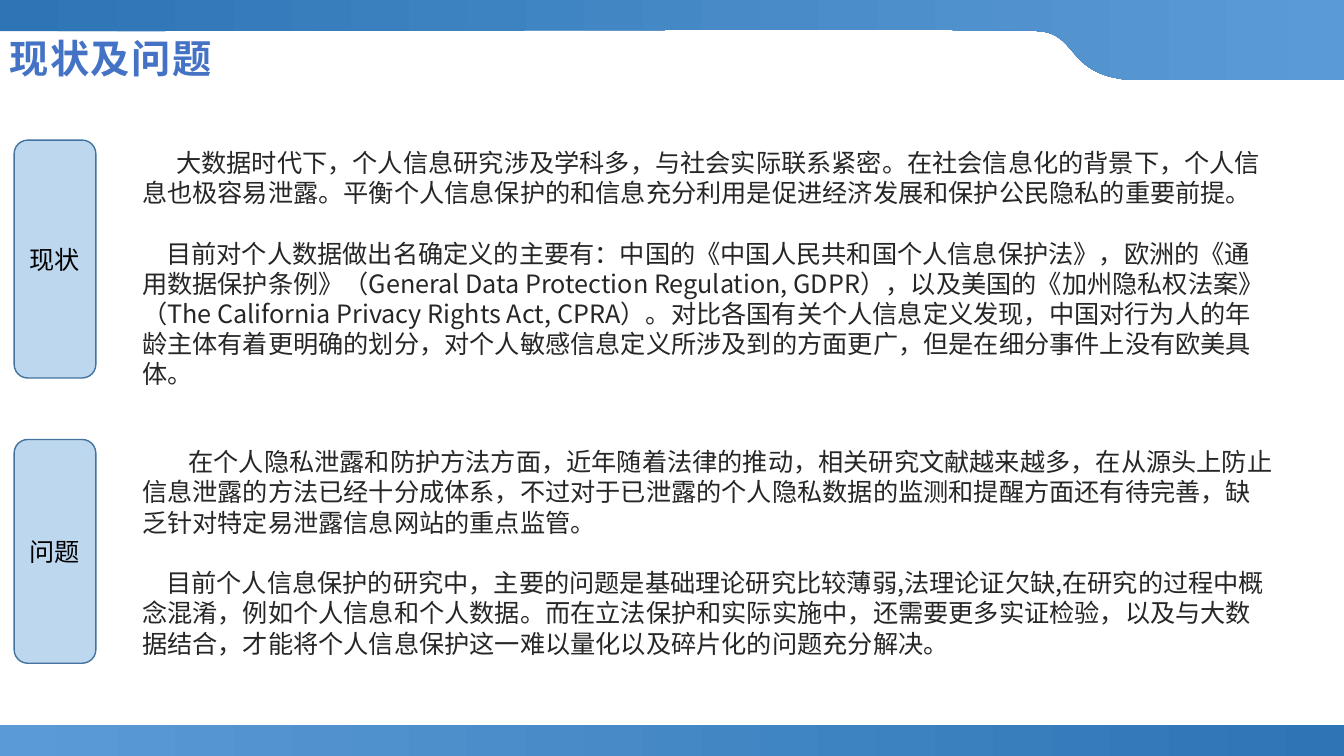
from lxml.etree import SubElement
from pptx import Presentation
from pptx.dml.color import RGBColor
from pptx.enum.shapes import MSO_SHAPE
from pptx.enum.text import MSO_ANCHOR, PP_ALIGN
from pptx.oxml.ns import qn
from pptx.util import Inches, Pt

WHITE = RGBColor(0xFF, 0xFF, 0xFF)
BLACK = RGBColor(0, 0, 0)
INK = RGBColor(0x26, 0x26, 0x26)
TITLE_BLUE = RGBColor(0x44, 0x72, 0xC4)
BAND_LIGHT = RGBColor(0x5B, 0x9B, 0xD5)
BAND_DARK = RGBColor(0x2E, 0x75, 0xB6)
LABEL_FILL = RGBColor(0xBD, 0xD7, 0xEE)
LABEL_EDGE = RGBColor(0x43, 0x73, 0x9E)
CJK_FONT = "Noto Sans CJK SC"

prs = Presentation()
prs.slide_width, prs.slide_height = Inches(13.33), Inches(7.5)
slide = prs.slides.add_slide(prs.slide_layouts[6])
slide.background.fill.solid()
slide.background.fill.fore_color.rgb = WHITE


def share(*percents):
    """Turn alternating x, y percentages of the slide into lengths."""
    sides = (prs.slide_width, prs.slide_height)
    return [int(sides[i % 2] * p / 100) for i, p in enumerate(percents)]


def style(paragraph, size, color, latin=CJK_FONT):
    for run in paragraph.runs:
        run.font.size = Pt(size)
        run.font.color.rgb = color
        run.font.name = latin
        SubElement(run._r.get_or_add_rPr(), qn("a:ea"), typeface=CJK_FONT)


# Bands: the top one swells at the right along two Bézier curves
curves = [
    [(83.27, 10.4), (79.52, 9.33), (80.05, 4.67), (77.42, 4.13)],
    [(77.42, 4.13), (74.79, 3.73), (25.81, 4.13), (0, 4.13)],
]
outline = [(100, 0), (100, 10.53), (83.72, 10.53)]
STEPS = 24
for a, b, c, d in curves:
    for step in range(STEPS + 1):
        t = step / STEPS
        u = 1 - t
        outline.append(tuple(
            u**3 * a[i] + 3 * u * u * t * b[i] + 3 * u * t * t * c[i] + t**3 * d[i]
            for i in (0, 1)))
builder = slide.shapes.build_freeform(0, 0)
builder.add_line_segments([share(*point) for point in outline], close=True)
top_band = builder.convert_to_shape()
bottom_band = slide.shapes.add_shape(MSO_SHAPE.RECTANGLE, *share(0, 95.87, 100, 4.13))

for band, ends in ((top_band, (BAND_DARK, BAND_LIGHT)),
                   (bottom_band, (BAND_LIGHT, BAND_DARK))):
    band.shadow.inherit = False
    band.line.fill.background()
    band.fill.gradient()
    band.fill.gradient_angle = 0
    for stop, color in zip(band.fill.gradient_stops, ends):
        stop.color.rgb = color

# Title
title = slide.shapes.add_textbox(*share(0, 3.2, 57.16, 7.6)).text_frame
title.word_wrap = True
title.vertical_anchor = MSO_ANCHOR.BOTTOM
title.margin_bottom = 0
title.text = "现状及问题"
heading = title.paragraphs[0]
heading.line_spacing = 0.9
style(heading, 28, TITLE_BLUE)
heading.runs[0].font.bold = True
heading.runs[0]._r.rPr.set("spc", "100")

# Sections: label, top, label height, text height, (first-line indent, paragraph)
sections = [
    ("现状", 18.53, 31.47, 41.73, [
        (0.34, "大数据时代下，个人信息研究涉及学科多，与社会实际联系紧密。在社会信息化的背景下，"
               "个人信息也极容易泄露。平衡个人信息保护的和信息充分利用是促进经济发展和保护公民"
               "隐私的重要前提。"),
        (0.24, "目前对个人数据做出名确定义的主要有：中国的《中国人民共和国个人信息保护法》，欧洲的"
               "《通用数据保护条例》（General Data Protection Regulation, GDPR），以及美国的"
               "《加州隐私权法案》（The California Privacy Rights Act, CPRA）。对比各国有关个人"
               "信息定义发现，中国对行为人的年龄主体有着更明确的划分，对个人敏感信息定义所涉及到的"
               "方面更广，但是在细分事件上没有欧美具体。"),
    ]),
    ("问题", 58.13, 29.6, 29.6, [
        (0.46, "在个人隐私泄露和防护方法方面，近年随着法律的推动，相关研究文献越来越多，在从源头上"
               "防止信息泄露的方法已经十分成体系，不过对于已泄露的个人隐私数据的监测和提醒方面还"
               "有待完善，缺乏针对特定易泄露信息网站的重点监管。"),
        (0.24, "目前个人信息保护的研究中，主要的问题是基础理论研究比较薄弱,法理论证欠缺,在研究的"
               "过程中概念混淆，例如个人信息和个人数据。而在立法保护和实际实施中，还需要更多实证"
               "检验，以及与大数据结合，才能将个人信息保护这一难以量化以及碎片化的问题充分解决。"),
    ]),
]
LINE_PITCH = Pt(21.6)

for name, top, label_height, text_height, paragraphs in sections:
    body = slide.shapes.add_textbox(*share(9.83, top, 85.6, text_height)).text_frame
    body.word_wrap = True
    body.margin_top = Inches(0.07)
    body.text = "\n".join(text for _, text in paragraphs)
    for paragraph, (indent, _) in zip(body.paragraphs, paragraphs):
        paragraph.line_spacing = LINE_PITCH
        paragraph._p.get_or_add_pPr().set("indent", str(Inches(indent)))
        style(paragraph, 18, INK)
    body.paragraphs[1].space_before = LINE_PITCH

    label = slide.shapes.add_shape(
        MSO_SHAPE.ROUNDED_RECTANGLE, *share(1.05, top, 6.08, label_height))
    label.shadow.inherit = False
    label.fill.solid()
    label.fill.fore_color.rgb = LABEL_FILL
    label.line.color.rgb = LABEL_EDGE
    label.line.width = Pt(1)
    label.text_frame.text = name
    label.text_frame.vertical_anchor = MSO_ANCHOR.MIDDLE
    label.text_frame.paragraphs[0].alignment = PP_ALIGN.CENTER
    style(label.text_frame.paragraphs[0], 18, BLACK, "DejaVu Sans")

prs.save("out.pptx")
